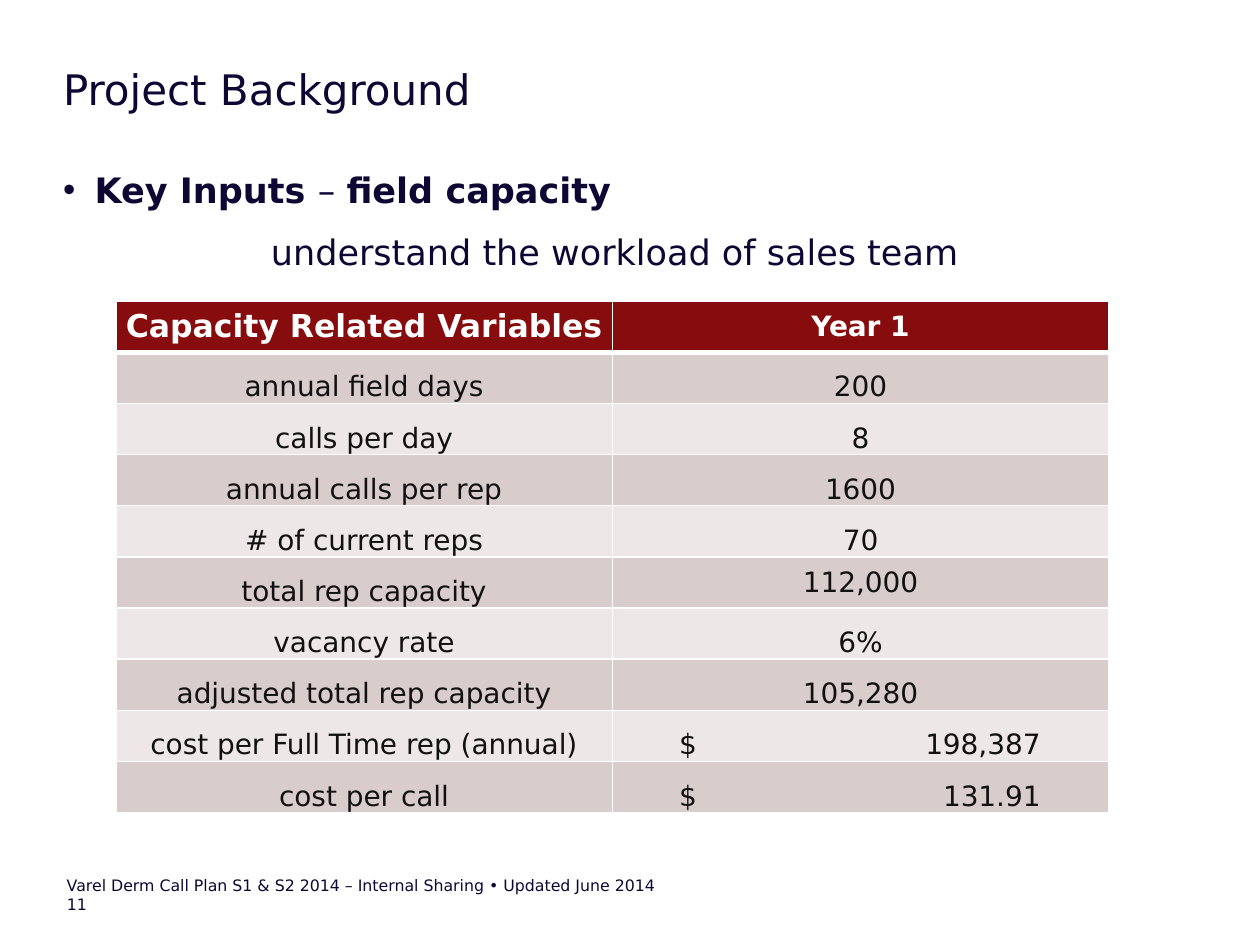
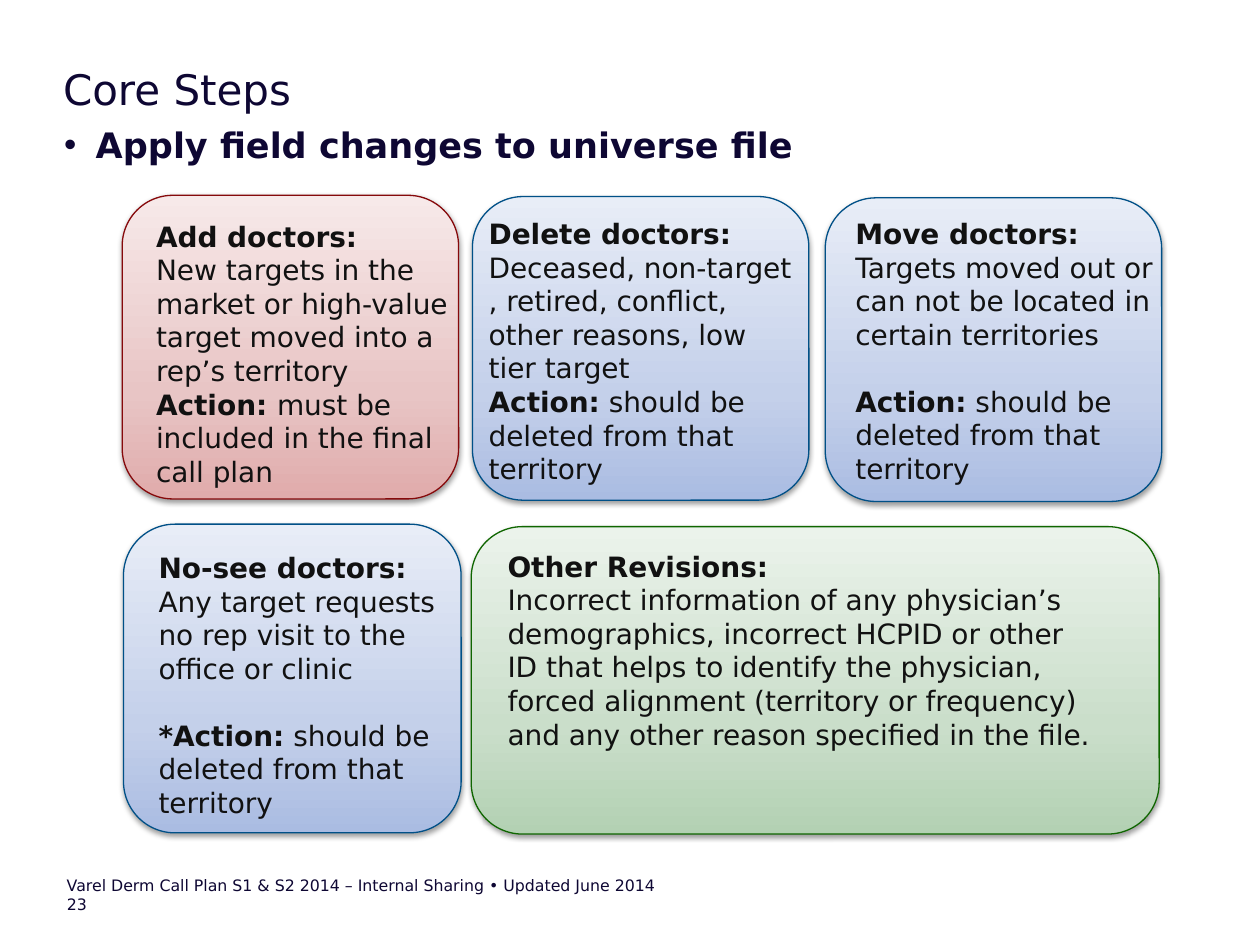
"""Build the two call plan slides: field capacity inputs and field change steps."""
from dataclasses import dataclass
from typing import NamedTuple

from lxml import etree
from pptx import Presentation
from pptx.dml.color import RGBColor
from pptx.enum.shapes import MSO_SHAPE
from pptx.enum.text import MSO_ANCHOR, MSO_AUTO_SIZE, PP_ALIGN
from pptx.oxml.ns import qn
from pptx.util import Inches, Pt

ROUNDED = MSO_SHAPE.ROUNDED_RECTANGLE
TOP, MIDDLE, BOTTOM = MSO_ANCHOR.TOP, MSO_ANCHOR.MIDDLE, MSO_ANCHOR.BOTTOM
LEFT, CENTER = PP_ALIGN.LEFT, PP_ALIGN.CENTER
NO_AUTOFIT = MSO_AUTO_SIZE.NONE

FONT = "DejaVu Sans"
NAVY, INK, WHITE = "0E0733", "111111", "FFFFFF"
HEADER_RED, BAND_DARK, BAND_LIGHT = "860C0E", "D9CCCC", "EDE7E7"
FOOTER = "Varel Derm Call Plan S1 & S2 2014 – Internal Sharing • Updated June 2014"
BLANK_LINE = 19


class Box(NamedTuple):
    left: float
    top: float
    width: float
    height: float


class Span(NamedTuple):
    text: str
    bold: bool = False


class Palette(NamedTuple):
    line: str
    stops: tuple[tuple[int, str], ...]


@dataclass(frozen=True)
class Para:
    spans: tuple[Span, ...]
    space_before: float = 0
    indent: float = 0
    bullet: bool = False


@dataclass(frozen=True)
class Card:
    box: Box
    text_box: Box
    palette: Palette
    paras: tuple[Para, ...]


RED = Palette("86090B", ((0, "E0ABAB"), (35, "E8C5C5"), (100, "F7E9E9")))
BLUE = Palette("005087", ((0, "AABCE2"), (35, "C4D0EA"), (100, "E8EDF7")))
GREEN = Palette("0F6600", ((0, "B3D1B3"), (35, "CADECA"), (100, "EBF3EB")))


def rgb(color: str) -> RGBColor:
    """Turn a hex string into a colour."""
    return RGBColor.from_string(color)


def place(shape, box: Box) -> None:
    """Move a shape to its box."""
    shape.left, shape.top, shape.width, shape.height = map(Inches, box)


def sub(parent, tag: str, **attributes):
    """Add an XML child with the given attributes."""
    return etree.SubElement(
        parent, qn(tag), {key: str(value) for key, value in attributes.items()})


def style(run, size: float, color: str, bold: bool = False) -> None:
    """Format one run."""
    run.font.name = FONT
    run.font.size = Pt(size)
    run.font.bold = bold
    run.font.color.rgb = rgb(color)


def reset_frame(frame, margin_x: float = 0, margin_y: float = 0) -> None:
    """Give a text frame wrapped, top-anchored text of fixed size."""
    frame.auto_size = NO_AUTOFIT
    frame.word_wrap = True
    frame.vertical_anchor = TOP
    frame.margin_left = frame.margin_right = Inches(margin_x)
    frame.margin_top = frame.margin_bottom = Inches(margin_y)


def write(frame, paras: tuple[Para, ...], size: float, color: str) -> None:
    """Fill a text frame with paragraphs of formatted spans."""
    for index, para in enumerate(paras):
        paragraph = frame.add_paragraph() if index else frame.paragraphs[0]
        paragraph.alignment = LEFT
        paragraph.space_before = Pt(para.space_before)
        properties = paragraph._p.get_or_add_pPr()
        properties.set("marL", str(Inches(para.indent)))
        properties.set("indent", str(-Inches(para.indent) if para.bullet else 0))
        if para.bullet:
            sub(properties, "a:buChar", char="•")
        else:
            sub(properties, "a:buNone")
        for span in para.spans:
            run = paragraph.add_run()
            run.text = span.text
            style(run, size, color, span.bold)


def plain(text: str) -> Para:
    """Make a paragraph of regular text."""
    return Para((Span(text),))


def heading(text: str) -> Para:
    """Make a paragraph of bold text."""
    return Para((Span(text, True),))


def action(label: str, text: str, space_before: float = 0) -> Para:
    """Make a paragraph with a bold label."""
    return Para((Span(label, True), Span(text)), space_before)


def add_text(slide, box: Box, paras: tuple[Para, ...], size: float, color: str,
             margin_x: float = 0, margin_y: float = 0) -> None:
    """Add a text box."""
    text_box = slide.shapes.add_textbox(*map(Inches, box))
    reset_frame(text_box.text_frame, margin_x, margin_y)
    write(text_box.text_frame, paras, size, color)


def add_slide(deck, title: str, number: int, body_box: Box, body: tuple[Para, ...]):
    """Add a slide with its title, body text and footer."""
    slide = deck.slides.add_slide(deck.slide_layouts[1])
    title_holder, body_holder = slide.placeholders
    for holder, box, paras, size in (
            (title_holder, Box(0.5, 0.5, 9, 0.56), (plain(title),), 24),
            (body_holder, body_box, body, 20)):
        place(holder, box)
        reset_frame(holder.text_frame)
        write(holder.text_frame, paras, size, NAVY)
    add_text(slide, Box(0.53, 6.95, 7.5, 0.15), (plain(FOOTER),), 9, NAVY)
    add_text(slide, Box(0.53, 7.1, 0.25, 0.15), (plain(str(number)),), 9, NAVY)
    return slide


def set_borders(cell, top: float, bottom: float) -> None:
    """Draw white borders around a cell."""
    properties = cell._tc.get_or_add_tcPr()
    for side, width in (("L", 1), ("R", 1), ("T", top), ("B", bottom)):
        line = sub(properties, f"a:ln{side}", w=Pt(width))
        sub(sub(line, "a:solidFill"), "a:srgbClr", val=WHITE)


def set_cell(cell, text: str, row: int, size: float) -> None:
    """Fill and format one table cell."""
    header = row == 0
    set_borders(cell, 3 if row == 1 else 1, 3 if header else 1)
    cell.fill.solid()
    cell.fill.fore_color.rgb = rgb(
        HEADER_RED if header else BAND_DARK if row % 2 else BAND_LIGHT)
    cell.margin_left = cell.margin_right = cell.margin_top = cell.margin_bottom = 0
    cell.vertical_anchor = MIDDLE if header or text == "112,000" else BOTTOM
    paragraph = cell.text_frame.paragraphs[0]
    paragraph.text = text
    paragraph.alignment = CENTER
    if "\t" in text:
        paragraph.alignment = LEFT
        cell.margin_left = Inches(0.53)
        tabs = sub(paragraph._p.get_or_add_pPr(), "a:tabLst")
        sub(tabs, "a:tab", pos=Inches(2.87), algn="r")
    style(paragraph.runs[0], size, WHITE if header else INK, header)


def add_capacity_table(slide, rows: tuple[tuple[str, str], ...]) -> None:
    """Add the table of capacity variables."""
    table = slide.shapes.add_table(
        len(rows), 2, *map(Inches, Box(0.92, 2.39, 7.88, 4.06))).table
    for row, texts in enumerate(rows):
        for column, text in enumerate(texts):
            size = 18 if row == column == 0 else 16
            set_cell(table.cell(row, column), text, row, size)


def add_card(slide, card: Card) -> None:
    """Add a shaded rounded card and its text."""
    shape = slide.shapes.add_shape(ROUNDED, *map(Inches, card.box))
    shape.fill.gradient()
    shape.fill.gradient_angle = 90
    properties = shape._element.spPr
    stops = properties.find(qn("a:gradFill")).find(qn("a:gsLst"))
    for stop in list(stops):
        stops.remove(stop)
    for position, color in card.palette.stops:
        sub(sub(stops, "a:gs", pos=position * 1000), "a:srgbClr", val=color)
    shape.line.color.rgb = rgb(card.palette.line)
    shape.line.width = Pt(0.75)
    shape.shadow.inherit = False
    shadow = sub(properties.find(qn("a:effectLst")), "a:outerShdw",
                 blurRad=Pt(3.1), dist=Pt(1.6), dir=5400000, rotWithShape=0)
    sub(sub(shadow, "a:srgbClr", val="000000"), "a:alpha", val=38000)
    add_text(slide, card.text_box, card.paras, 16, INK, 0.1, 0.05)


CAPACITY = (
    ("Capacity Related Variables", "Year 1"),
    ("annual field days", "200"),
    ("calls per day", "8"),
    ("annual calls per rep", "1600"),
    ("# of current reps", "70"),
    ("total rep capacity", "112,000"),
    ("vacancy rate", "6%"),
    ("adjusted total rep capacity", "105,280"),
    ("cost per Full Time rep (annual)", "$\t198,387"),
    ("cost per call", "$\t131.91"),
)

DELETED = " should be deleted from that"

CARDS = (
    Card(Box(0.97, 1.55, 2.67, 2.41), Box(1.14, 1.69, 2.63, 2.26), RED, (
        heading("Add doctors:"),
        plain("New targets in the market or high-value target moved into a "
              "rep’s territory"),
        action("Action: ", "must be included in the final call plan"))),
    Card(Box(3.75, 1.56, 2.67, 2.41), Box(3.78, 1.67, 2.64, 2.26), BLUE, (
        heading("Delete doctors:"),
        plain("Deceased, non-target"),
        plain(", retired, conflict,"),
        plain("other reasons, low tier target"),
        action("Action:", DELETED),
        plain("territory"))),
    Card(Box(6.55, 1.57, 2.67, 2.41), Box(6.69, 1.67, 2.58, 2.26), BLUE, (
        heading("Move doctors:"),
        plain("Targets moved out or can not be located in certain territories"),
        action("Action:", DELETED, BLANK_LINE),
        plain("territory"))),
    Card(Box(0.98, 4.16, 2.68, 2.45), Box(1.16, 4.32, 2.42, 2.26), BLUE, (
        heading("No-see doctors:"),
        plain("Any target requests no rep visit to the office or clinic"),
        action("*Action:", DELETED, BLANK_LINE),
        plain("territory"))),
    Card(Box(3.74, 4.18, 5.46, 2.44), Box(3.93, 4.31, 5.04, 2.26), GREEN, (
        heading("Other Revisions:"),
        plain("Incorrect information of any physician’s demographics, "
              "incorrect HCPID or other"),
        plain("ID that helps to identify the physician,"),
        plain("forced alignment (territory or frequency) and any other reason "
              "specified in the file."))),
)


def main() -> None:
    """Build and save the deck."""
    deck = Presentation()
    deck.slide_width, deck.slide_height = Inches(10), Inches(7.5)

    background = add_slide(
        deck, "Project Background", 11, Box(0.5, 1.34, 8.96, 0.88), (
            Para((Span("Key Inputs ", True), Span("– "),
                  Span("field capacity", True)), indent=0.25, bullet=True),
            Para((Span("understand the workload of sales team"),),
                 space_before=11, indent=1.65)))
    add_capacity_table(background, CAPACITY)

    steps = add_slide(
        deck, "Core Steps", 23, Box(0.51, 0.98, 8.96, 0.48), (
            Para((Span("Apply field changes to universe file", True),),
                 indent=0.25, bullet=True),))
    for card in CARDS:
        add_card(steps, card)

    deck.save("out.pptx")


if __name__ == "__main__":
    main()
